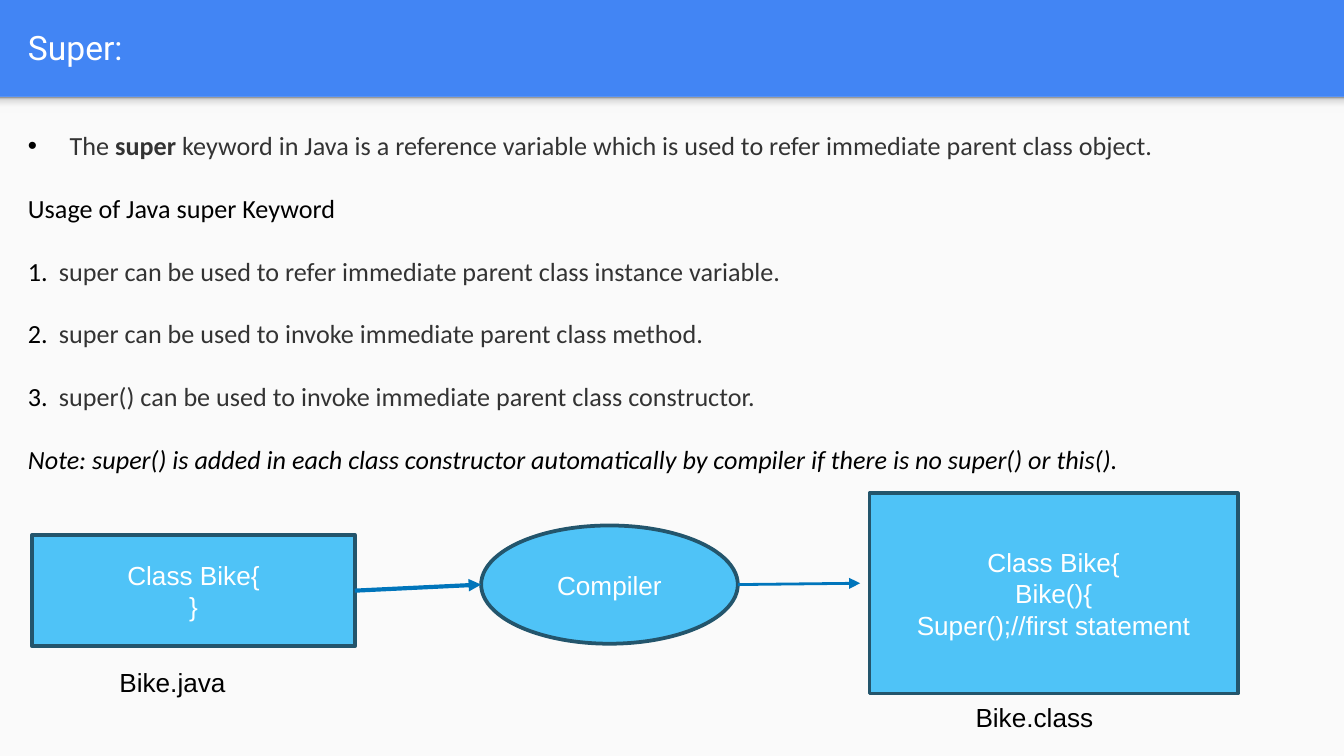
from lxml import etree
from pptx import Presentation
from pptx import util as u
from pptx.dml.color import RGBColor
from pptx.enum import shapes, text
from pptx.oxml import ns

COLORS = {
    "header": "4285F4", "page": "FAFAFA", "white": "FFFFFF", "black": "000000",
    "body": "333333", "box": "4FC3F7", "outline": "23556C", "arrow": "0075BB",
}
SHADOW_STOPS = [(0, "F9F9F9"), (36, "F9F9F9"), (80, "DEDEDE"), (100, "999999")]
RIGHT_SIDE = 3
BULLET = ("buChar", {"char": "•"})
NUMBER = ("buAutoNum", {"type": "arabicPeriod"})


def rgb(name):
    return RGBColor.from_string(COLORS[name])


def inches(*values):
    return [u.Inches(value) for value in values]


def add_element(parent, tag, **attributes):
    return etree.SubElement(parent, ns.qn(f"a:{tag}"), attributes)


def add_run(paragraph, words, color, font="Arial", size=14, **formats):
    run = paragraph.add_run()
    run.text = words
    run.font.color.rgb = rgb(color)
    for name, value in {"name": font, "size": u.Pt(size), **formats}.items():
        setattr(run.font, name, value)


def add_lines(frame, lines, color, alignment=text.PP_ALIGN.LEFT, **formats):
    for index, line in enumerate(lines):
        paragraph = frame.add_paragraph() if index else frame.paragraphs[0]
        paragraph.alignment = alignment
        add_run(paragraph, line, color, **formats)


def add_text_box(slide, place):
    frame = slide.shapes.add_textbox(*inches(*place)).text_frame
    frame.word_wrap = True
    return frame


def add_marker(paragraph, marker, indent):
    tag, attributes = marker
    properties = paragraph._p.get_or_add_pPr()
    properties.set("marL", str(u.Inches(indent)))
    properties.set("indent", str(-u.Inches(indent)))
    color = add_element(properties, "buClr")
    add_element(color, "srgbClr", val=COLORS["black"])
    add_element(properties, "buFont", typeface="Arial" if marker is BULLET else "Calibri")
    add_element(properties, tag, **attributes)


def add_plain_shape(slide, kind, place):
    shape = slide.shapes.add_shape(kind, *inches(*place))
    shape.shadow.inherit = False
    shape.line.fill.background()
    return shape


def add_node(slide, kind, place, lines):
    node = add_plain_shape(slide, kind, place)
    node.fill.solid()
    node.fill.fore_color.rgb = rgb("box")
    node.line.color.rgb = rgb("outline")
    node.line.width = u.Pt(2)
    node.text_frame.vertical_anchor = text.MSO_ANCHOR.MIDDLE
    add_lines(node.text_frame, lines, "white", text.PP_ALIGN.CENTER)
    return node


def add_arrow(slide, start, end, width):
    arrow = slide.shapes.add_connector(
        shapes.MSO_CONNECTOR.STRAIGHT, *inches(*start, *end))
    arrow.line.color.rgb = rgb("arrow")
    arrow.line.width = u.Pt(width)
    add_element(arrow.line._get_or_add_ln(), "tailEnd", type="triangle")
    add_element(arrow._element.spPr, "effectLst")
    return arrow


def add_background(slide):
    slide.background.fill.solid()
    slide.background.fill.fore_color.rgb = rgb("header")
    rectangle = shapes.MSO_SHAPE.RECTANGLE
    page = add_plain_shape(slide, rectangle, (0, 0.72, 10, 4.91))
    page.fill.solid()
    page.fill.fore_color.rgb = rgb("page")

    # Soft shadow below the header, darkest at the top
    shadow = add_plain_shape(slide, rectangle, (0, 0.72, 10, 0.12))
    shadow.fill.gradient()
    gradient = shadow._element.spPr.find(ns.qn("a:gradFill"))
    for child in list(gradient):
        gradient.remove(child)
    stops = add_element(gradient, "gsLst")
    for percent, color in SHADOW_STOPS:
        stop = add_element(stops, "gs", pos=str(percent * 1000))
        add_element(stop, "srgbClr", val=color)
    add_element(gradient, "lin", ang=str(270 * 60000), scaled="0")


def add_title(slide):
    frame = add_text_box(slide, (0.11, 0.02, 9.65, 0.66))
    frame.vertical_anchor = text.MSO_ANCHOR.MIDDLE
    for side in ("left", "top", "right", "bottom"):
        setattr(frame, f"margin_{side}", u.Inches(0.1))
    add_lines(frame, ["Super:"], "white", font="Roboto", size=18)


def add_explanation(slide):
    frame = add_text_box(slide, (0.11, 0.68, 9.65, 2.95))
    definition = frame.paragraphs[0]
    for words, bold in (
        ("The ", False),
        ("super", True),
        (" keyword in Java is a reference variable which is used to refer "
         "immediate parent class object.", False),
    ):
        add_run(definition, words, "body", font="Calibri", bold=bold)

    add_run(frame.add_paragraph(), "Usage of Java super Keyword", "black", font="Calibri")
    usages = []
    for words in (
        "super can be used to refer immediate parent class instance variable.",
        "super can be used to invoke immediate parent class method.",
        "super() can be used to invoke immediate parent class constructor.",
    ):
        usage = frame.add_paragraph()
        usage.alignment = text.PP_ALIGN.JUSTIFY
        add_run(usage, words, "body", font="Calibri")
        usages.append(usage)
    add_run(frame.add_paragraph(),
            "Note: super() is added in each class constructor automatically by "
            "compiler if there is no super() or this().",
            "black", font="Calibri", italic=True)

    # Line spacing, bullet and numbers
    for paragraph in frame.paragraphs:
        paragraph.line_spacing = 2.0
    add_marker(definition, BULLET, 0.31)
    for usage in usages:
        add_marker(usage, NUMBER, 0.23)


def add_diagram(slide):
    rectangle, oval = shapes.MSO_SHAPE.RECTANGLE, shapes.MSO_SHAPE.OVAL
    source = add_node(slide, rectangle, (0.24, 3.98, 2.4, 0.83), ["Class Bike{", "}"])
    add_node(slide, oval, (3.58, 3.91, 1.91, 0.88), ["Compiler"])
    add_node(slide, rectangle, (6.47, 3.67, 2.74, 1.49),
             ["Class Bike{", "Bike(){", "Super();//first statement"])

    # File names
    for place, name in (((0.79, 4.91, 1, 0.34), "Bike.java"),
                        ((7.16, 5.17, 1.72, 0.34), "Bike.class")):
        add_lines(add_text_box(slide, place), [name], "black")

    # Arrows
    compile_arrow = add_arrow(slide, (2.64, 4.39), (3.58, 4.35), 2.25)
    compile_arrow.begin_connect(source, RIGHT_SIDE)
    add_arrow(slide, (5.49, 4.35), (6.4, 4.34), 1.5)


def main():
    presentation = Presentation()
    # Widescreen, 16 to 9
    presentation.slide_width = u.Inches(10)
    presentation.slide_height = u.Inches(10) * 9 // 16
    slide = presentation.slides.add_slide(presentation.slide_layouts[6])
    add_background(slide)
    add_title(slide)
    add_explanation(slide)
    add_diagram(slide)
    presentation.save("out.pptx")


if __name__ == "__main__":
    main()
